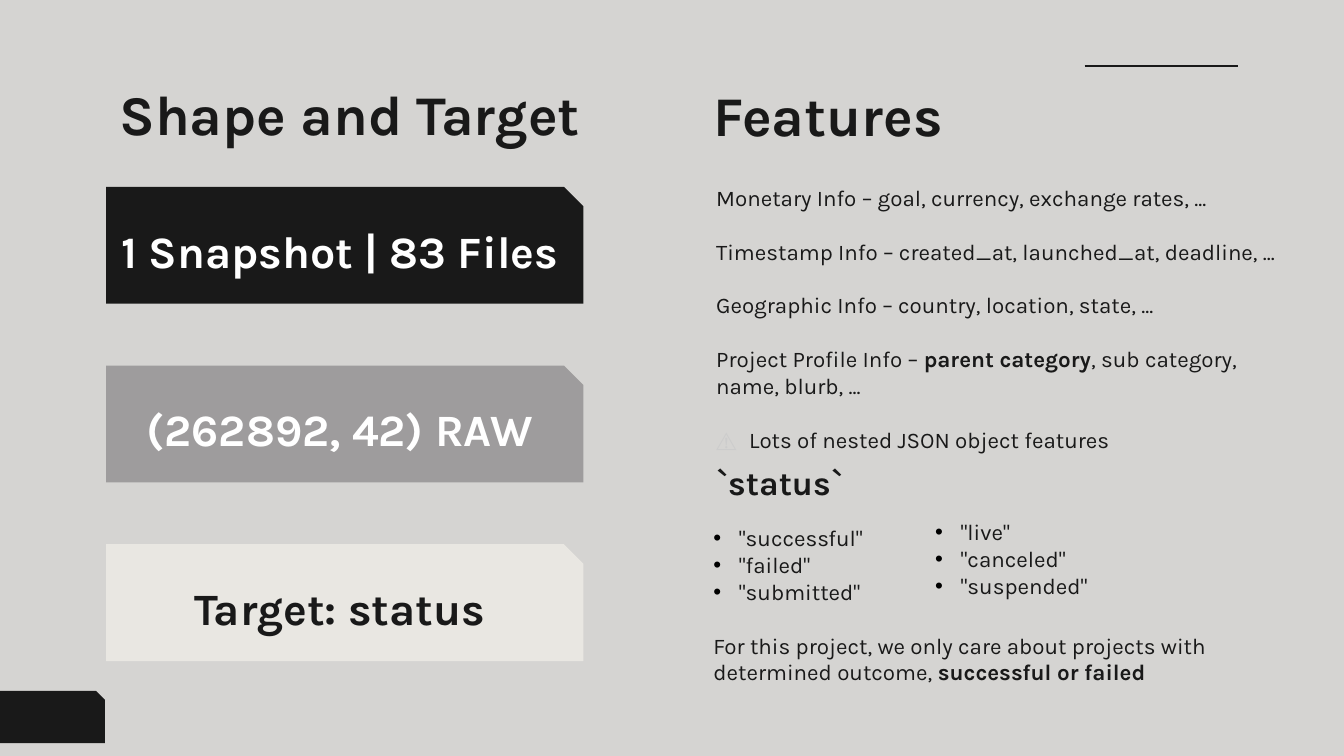
from lxml import etree
from pptx import Presentation
from pptx.dml.color import RGBColor
from pptx.enum.shapes import MSO_CONNECTOR, MSO_SHAPE
from pptx.enum.text import MSO_ANCHOR, PP_ALIGN
from pptx.oxml.ns import qn
from pptx.util import Inches, Pt

STRAIGHT = MSO_CONNECTOR.STRAIGHT
SNIPPED = MSO_SHAPE.SNIP_1_RECTANGLE
TOP, MIDDLE, BOTTOM = MSO_ANCHOR.TOP, MSO_ANCHOR.MIDDLE, MSO_ANCHOR.BOTTOM
CENTER = PP_ALIGN.CENTER

INK, WHITE, GREY, CREAM = "191919", "FFFFFF", "9E9C9D", "E9E7E2"
BACKGROUND, WARNING = "D5D4D2", "CCCCCC"
BODY_SIZE, LINE_GAP = 12, 14.4
PAGE_WIDTH = 10
PAGE_HEIGHT = PAGE_WIDTH * 9 / 16


def color(hex_text):
    return RGBColor.from_string(hex_text)


class SlideBuilder:
    font = "Karla"

    def __init__(self, page):
        self.page = page
        fill = page.background.fill
        fill.solid()
        fill.fore_color.rgb = color(BACKGROUND)

    def style(self, span, size, ink=INK, bold=False, font=None):
        span.font.name = font or self.font
        span.font.size = Pt(size)
        span.font.bold = bold
        span.font.color.rgb = color(ink)

    def line(self, left, top, right):
        rule = self.page.shapes.add_connector(
            STRAIGHT, Inches(left), Inches(top), Inches(right), Inches(top))
        rule.line.color.rgb = color(INK)
        rule.line.width = Pt(0.75)
        etree.SubElement(rule._element.spPr, qn("a:effectLst"))

    def card(self, left, top, width, height, fill, text="", ink=WHITE):
        box = self.page.shapes.add_shape(
            SNIPPED, Inches(left), Inches(top), Inches(width), Inches(height))
        box.shadow.inherit = False
        box.fill.solid()
        box.fill.fore_color.rgb = color(fill)
        box.line.fill.background()
        if text:
            frame = self.set_frame(box, MIDDLE, 0.1)
            frame.text = text
            para = frame.paragraphs[0]
            para.alignment = CENTER
            self.style(para.runs[0], 24, ink, bold=True)

    def set_frame(self, box, anchor, inset):
        """Set wrapping, anchor and vertical inset; sides are always 0.1 inch."""
        frame = box.text_frame
        frame.word_wrap = True
        frame.vertical_anchor = anchor
        frame.margin_left = frame.margin_right = Inches(0.1)
        frame.margin_top = frame.margin_bottom = Inches(inset)
        return frame

    def text_box(self, left, top, width, height, anchor=TOP, inset=0.1):
        box = self.page.shapes.add_textbox(
            Inches(left), Inches(top), Inches(width), Inches(height))
        return self.set_frame(box, anchor, inset)

    def heading(self, text, left, top, width, height, size=30, **frame_style):
        frame = self.text_box(left, top, width, height, **frame_style)
        frame.text = text
        self.style(frame.paragraphs[0].runs[0], size, bold=True)

    def paragraph(self, frame, spans, gap=0):
        """Add a paragraph of (text, style) spans, using the empty first one."""
        first = frame.paragraphs[0]
        para = frame.add_paragraph() if first.runs else first
        para.space_after = Pt(gap)
        for text, changes in spans:
            span = para.add_run()
            span.text = text
            self.style(span, **{"size": BODY_SIZE, **changes})
        return para

    def bullets(self, frame, items):
        """Add one bullet per item and return the last paragraph."""
        for item in items:
            para = self.paragraph(frame, [(item, {})])
            props = para._p.get_or_add_pPr()
            props.set("marL", str(Inches(0.19)))
            props.set("indent", str(-Inches(0.19)))
            tint = etree.SubElement(props, qn("a:buClr"))
            etree.SubElement(tint, qn("a:srgbClr"), val="000000")
            etree.SubElement(props, qn("a:buFont"), typeface="Arial")
            etree.SubElement(props, qn("a:buChar"), char="•")
        return para


def main():
    deck = Presentation()
    deck.slide_width = Inches(PAGE_WIDTH)
    deck.slide_height = Inches(PAGE_HEIGHT)
    slide = SlideBuilder(deck.slides.add_slide(deck.slide_layouts[6]))
    bold = {"bold": True}

    slide.line(8.07, 0.49, 9.21)
    slide.card(-0.19, 5.14, 0.97, 0.39, INK)

    slide.heading("Shape and Target", 0.79, 0.49, 3.8, 0.63)
    cards = [
        ("1 Snapshot\u00a0| 83 Files", INK, WHITE),
        ("(262892, 42) RAW", GREY, WHITE),
        ("Target: status", CREAM, INK),
    ]
    for row, (text, fill, ink) in enumerate(cards):
        slide.card(0.79, 1.39 + 1.33 * row, 3.55, 0.87, fill, text, ink)

    slide.heading("Features", 5.21, 0.55, 5, 0.84, inset=0.05)
    features = [
        [("Monetary Info\u00a0– goal, currency, exchange rates, ...", {})],
        [("Timestamp Info – created_at, launched_at, deadline, ...", {})],
        [("Geographic Info – country, location, state, ...", {})],
        [("Project Profile Info – ", {}), ("parent category", bold),
         (", sub category, name, blurb, ...", {})],
        [("⚠️ ", {"size": 11, "ink": WARNING, "font": "Courier New"}),
         ("Lots of nested JSON object features", {})],
    ]
    frame = slide.text_box(5.23, 1.27, 4.49, 2)
    for spans in features:
        slide.paragraph(frame, spans, LINE_GAP)

    slide.heading("`status`", 5.23, 3.38, 2.51, 0.46, size=18, anchor=BOTTOM)
    frame = slide.text_box(5.21, 3.8, 4.16, 1.58)
    last = slide.bullets(frame, ['"successful"', '"failed"', '"submitted"'])
    last.space_after = Pt(LINE_GAP)
    slide.paragraph(frame, [
        ("For this project, we only care about projects with "
         "determined outcome, ", {}),
        ("successful or failed", bold),
    ])
    frame = slide.text_box(6.86, 3.81, 1.54, 0.97, inset=0.05)
    slide.bullets(frame, ['"live"', '"canceled"', '"suspended"'])

    deck.save("out.pptx")


if __name__ == "__main__":
    main()
